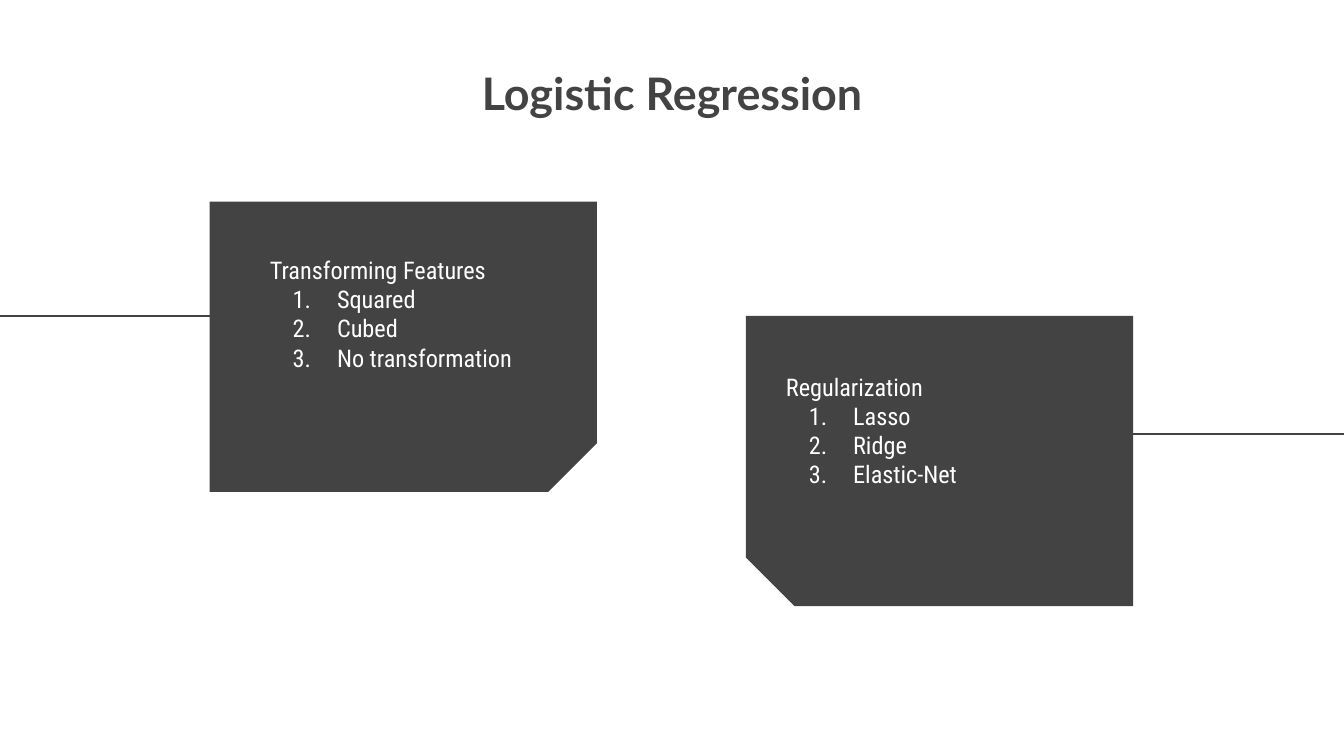
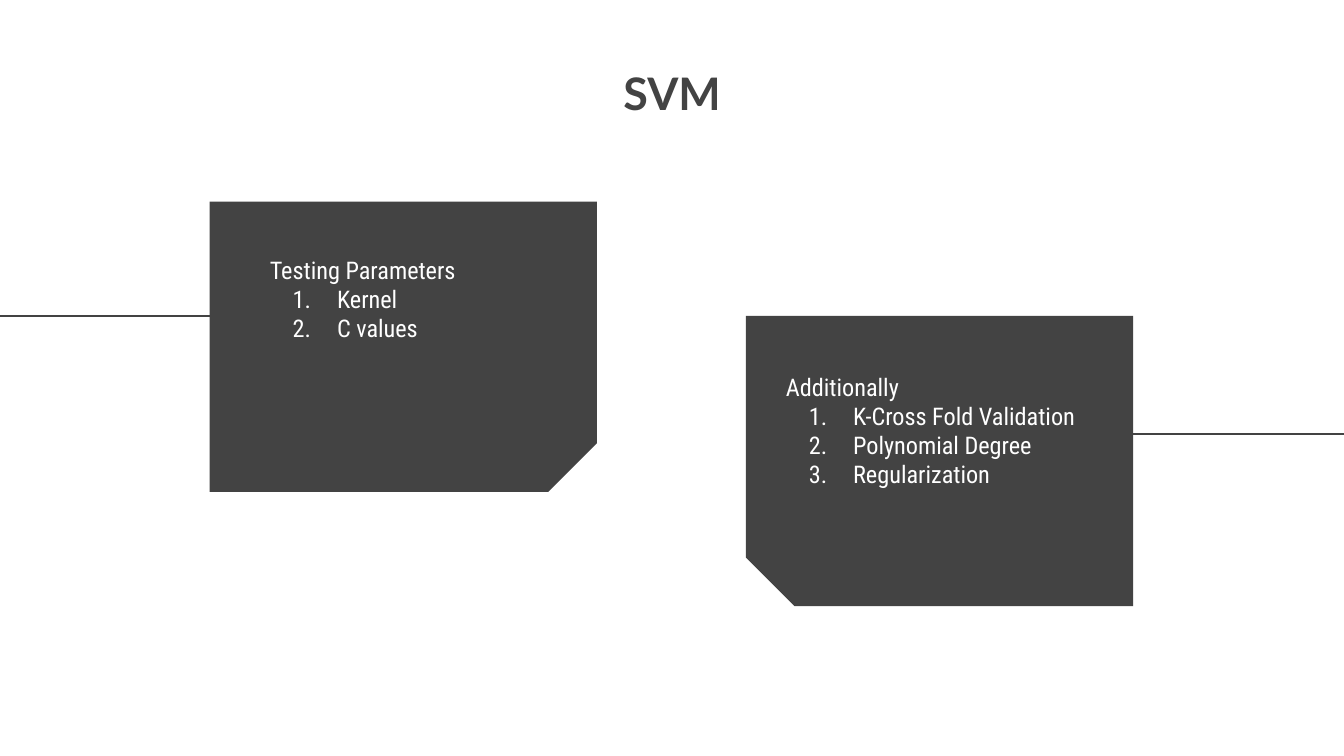
from lxml import etree
from pptx import Presentation
from pptx.dml.color import RGBColor
from pptx.enum.shapes import MSO_CONNECTOR, MSO_SHAPE
from pptx.enum.text import MSO_ANCHOR, MSO_AUTO_SIZE, PP_ALIGN
from pptx.oxml.ns import qn
from pptx.util import Inches, Pt

SNIP = MSO_SHAPE.SNIP_1_RECTANGLE
STRAIGHT = MSO_CONNECTOR.STRAIGHT
TOP, NO_FIT = MSO_ANCHOR.TOP, MSO_AUTO_SIZE.NONE
LEFT, CENTER = PP_ALIGN.LEFT, PP_ALIGN.CENTER

DARK, WHITE = "434343", "FFFFFF"
TITLE_FONT, BODY_FONT = "Lato", "Roboto Condensed"
SLIDE_W = 10
SLIDE_H = SLIDE_W * 9 / 16
CARD_SHORT, CARD_LONG = 2.16, 2.88  # card size before it is turned
LIST_W, LINE_H = 2.36, 0.22

# The two card positions shared by every slide
LEFT_CARD = dict(at=(1.92, 1.14), rotation=90, flip=False,
                 line=(2.65, 0, 2.35), list_at=(1.91, 1.8))
RIGHT_CARD = dict(at=(5.91, 1.99), rotation=270, flip=True,
                  line=(7.31, SLIDE_W, 3.23), list_at=(5.75, 2.67))

SLIDES = [
    ("Logistic Regression",
     ["Transforming Features", "Squared", "Cubed", "No transformation"],
     ["Regularization", "Lasso", "Ridge", "Elastic-Net"]),
    ("SVM",
     ["Testing Parameters", "Kernel", "C values"],
     ["Additionally", "K-Cross Fold Validation", "Polynomial Degree",
      "Regularization"]),
]


def color(value):
    return RGBColor.from_string(value)


def set_font(font, name, size, value, bold=False):
    font.name, font.size, font.bold = name, Pt(size), bold
    font.color.rgb = color(value)


def set_frame(tf):
    tf.word_wrap, tf.auto_size, tf.vertical_anchor = True, NO_FIT, TOP
    tf.margin_left = tf.margin_right = Inches(0.1)
    tf.margin_top = tf.margin_bottom = Inches(0.1)


def add_title(s, text):
    sp = s.shapes.title
    sp.left, sp.top = Inches(2.15), Inches(0.39)
    sp.width, sp.height = Inches(5.7), Inches(1.03)
    tf = sp.text_frame
    set_frame(tf)
    tf.text = text
    p = tf.paragraphs[0]
    p.alignment = CENTER
    set_font(p.runs[0].font, TITLE_FONT, 24, DARK, bold=True)


def add_card(s, at, rotation, flip):
    sp = s.shapes.add_shape(SNIP, Inches(at[0]), Inches(at[1]),
                            Inches(CARD_SHORT), Inches(CARD_LONG))
    sp.adjustments[0] = 0.167
    sp.rotation = rotation
    if flip:
        sp._element.spPr.find(qn("a:xfrm")).set("flipH", "1")
    sp.shadow.inherit = False
    sp.fill.solid()
    sp.fill.fore_color.rgb = color(DARK)
    sp.line.fill.background()


def add_line(s, x1, x2, y):
    line = s.shapes.add_connector(STRAIGHT, Inches(x1), Inches(y),
                                  Inches(x2), Inches(y))
    line.line.color.rgb = color(DARK)
    line.line.width = Pt(0.75)
    etree.SubElement(line._element.spPr, qn("a:effectLst"))


def number_paragraph(p):
    pPr = p._p.get_or_add_pPr()
    pPr.set("marL", str(Inches(0.5)))
    pPr.set("indent", str(Inches(-0.33)))
    bullet_color = etree.SubElement(pPr, qn("a:buClr"))
    etree.SubElement(bullet_color, qn("a:srgbClr"), val=WHITE)
    etree.SubElement(pPr, qn("a:buFont"), typeface=BODY_FONT)
    etree.SubElement(pPr, qn("a:buAutoNum"), type="arabicPeriod")


def add_list(s, at, lines):
    """A heading followed by numbered items."""
    height = 0.22 + LINE_H * len(lines)
    box = s.shapes.add_textbox(Inches(at[0]), Inches(at[1]),
                               Inches(LIST_W), Inches(height))
    tf = box.text_frame
    set_frame(tf)
    tf.text = "\n".join(lines)
    for i, p in enumerate(tf.paragraphs):
        p.alignment = LEFT
        if i > 0:
            number_paragraph(p)
        set_font(p.runs[0].font, BODY_FONT, 13, WHITE)


def add_slide(prs, title, left_lines, right_lines):
    s = prs.slides.add_slide(prs.slide_layouts[5])
    s.background.fill.solid()
    s.background.fill.fore_color.rgb = color(WHITE)
    add_title(s, title)
    for card, lines in ((RIGHT_CARD, right_lines), (LEFT_CARD, left_lines)):
        add_card(s, card["at"], card["rotation"], card["flip"])
        add_line(s, *card["line"])
        add_list(s, card["list_at"], lines)


def main():
    prs = Presentation()
    prs.slide_width, prs.slide_height = Inches(SLIDE_W), Inches(SLIDE_H)
    for content in SLIDES:
        add_slide(prs, *content)
    prs.save("out.pptx")


if __name__ == "__main__":
    main()
